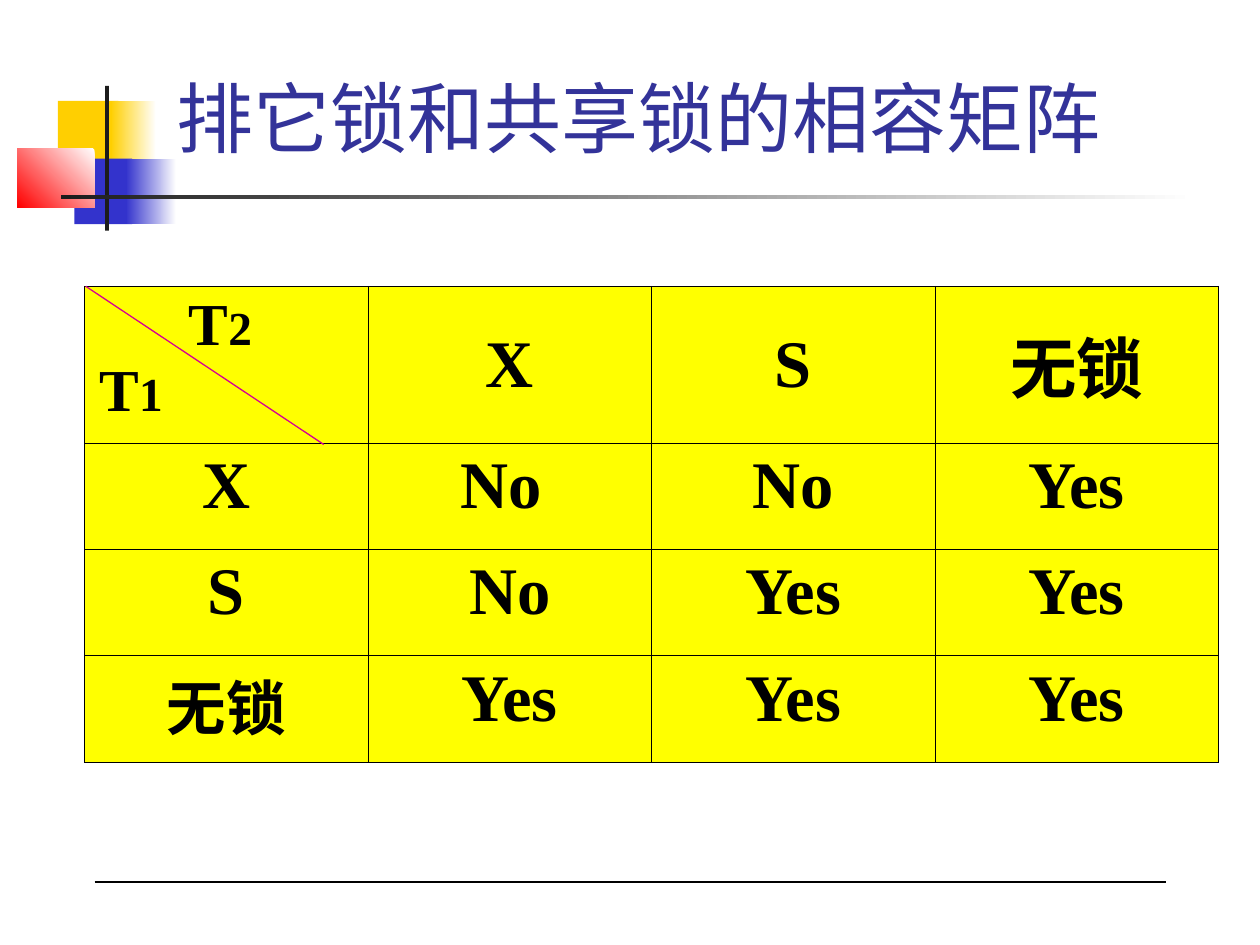
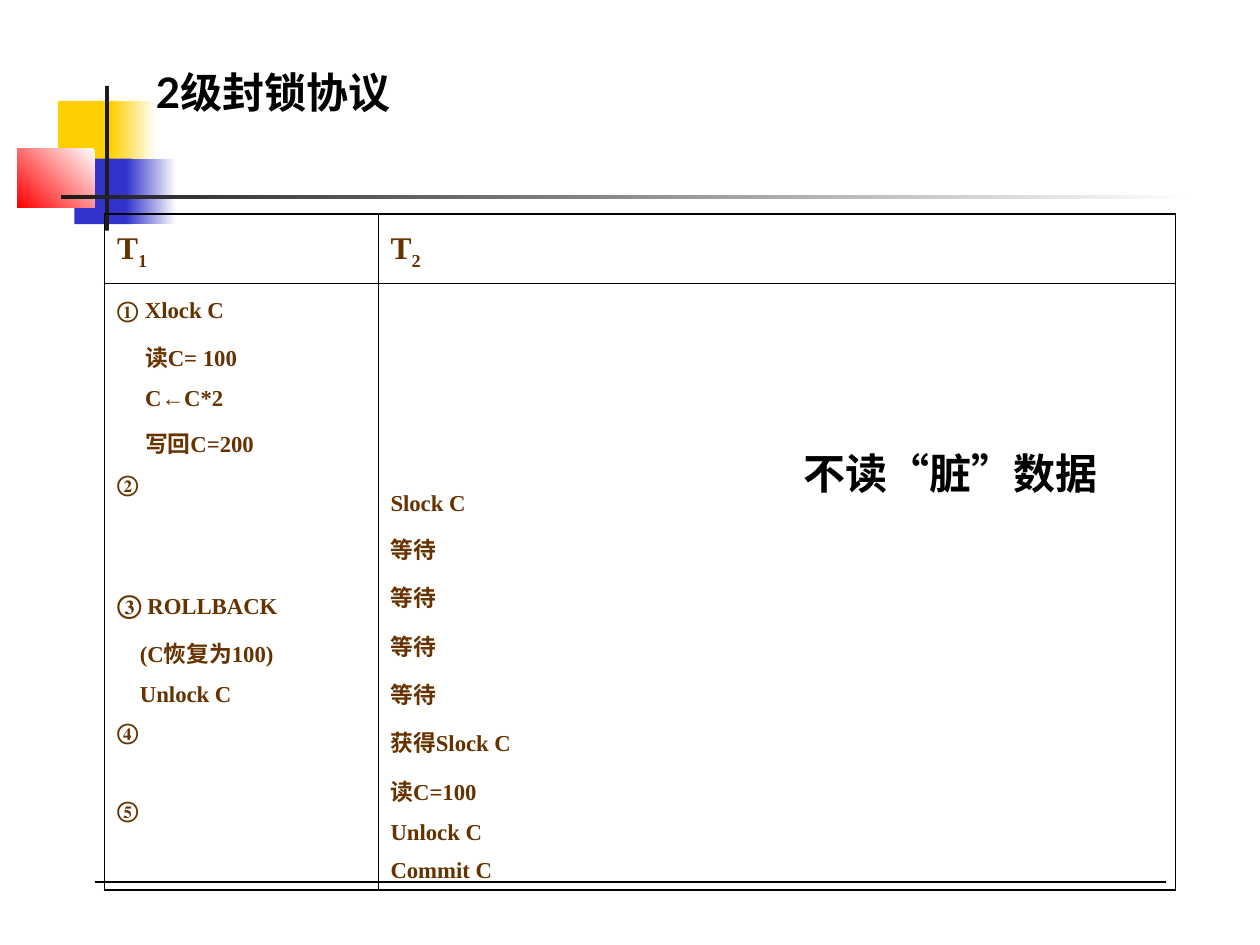
"""Build two slides on lock compatibility and the level-2 locking protocol."""
from dataclasses import dataclass
from typing import Optional

import pptx
import pptx.dml.color
import pptx.enum.shapes
import pptx.enum.text
import pptx.oxml
import pptx.oxml.ns
import pptx.util

Pt = pptx.util.Pt
RGB = pptx.dml.color.RGBColor.from_string
ALIGN = pptx.enum.text.PP_ALIGN
ANCHOR = pptx.enum.text.MSO_ANCHOR


@dataclass(frozen=True)
class Theme:
    black: str = "000000"
    white: str = "FFFFFF"
    ink: str = "1C1C1C"
    gold: str = "FFCF01"
    blue: str = "3333CC"
    red: str = "FF0000"
    title: str = "333399"
    cell: str = "FFFF00"
    diagonal: str = "D60093"
    brown: str = "663300"
    serif: str = "Times New Roman"
    cjk: str = "Noto Sans CJK SC"
    sans: str = "Lato"
    title_size: float = 44
    heading_size: float = 24
    matrix_size: float = 38
    corner_size: float = 34
    corner_digit: float = 27
    column_size: float = 18
    step_size: float = 13
    mark_size: float = 15
    thin: float = 0.45
    thick: float = 1.08
    rule: float = 0.75


T = Theme()


@dataclass(frozen=True)
class Box:
    x: float
    y: float
    w: float
    h: float

    def lengths(self) -> tuple:
        return Pt(self.x), Pt(self.y), Pt(self.w), Pt(self.h)


@dataclass(frozen=True)
class Block:
    box: Box
    color: str
    angle: Optional[float] = None


@dataclass(frozen=True)
class Style:
    size: float
    color: str = T.black
    font: str = T.serif
    bold: bool = True


@dataclass(frozen=True)
class Span:
    text: str
    size: Optional[float] = None
    subscript: bool = False


@dataclass(frozen=True)
class Line:
    spans: tuple
    indent: float = 0
    before: float = 0
    spacing: float = 1.0
    align: ALIGN = ALIGN.LEFT


BLOCKS = (
    Block(Box(33.12, 57.6, 34.56, 37.44), T.gold),
    Block(Box(63.36, 57.6, 25.92, 37.44), T.gold, 180),
    Block(Box(42.48, 90.72, 33.12, 37.44), T.blue),
    Block(Box(72, 90.72, 28.8, 37.44), T.blue, 180),
    Block(Box(10, 85, 44, 33.5), T.red, 225),
    Block(Box(60, 49, 2.3, 82.8), T.ink),
    Block(Box(34.7, 111.6, 648, 2.3), T.ink, 180),
)

STEP_GAP = 3.3
STEP_SPACING = 1.3
EMPTY_STEP = 22.7


def write(tf, lines: tuple, style: Style) -> None:
    """Fill a text frame with formatted lines."""
    for i, line in enumerate(lines):
        p = tf.paragraphs[0] if i == 0 else tf.add_paragraph()
        p.alignment = line.align
        p.line_spacing = line.spacing
        p.space_before = Pt(line.before)
        pPr = p._p.get_or_add_pPr()
        pPr.set("marL", str(Pt(line.indent)))
        pPr.set("indent", "0")
        for span in line.spans:
            r = p.add_run()
            r.text = span.text
            r.font.size = Pt(span.size or style.size)
            r.font.name = style.font
            r.font.bold = style.bold
            r.font.color.rgb = RGB(style.color)
            rPr = r._r.get_or_add_rPr()
            ea = pptx.oxml.parse_xml(
                f'<a:ea {pptx.oxml.ns.nsdecls("a")} typeface="{T.cjk}"/>')
            rPr.find(pptx.oxml.ns.qn("a:latin")).addnext(ea)
            if span.subscript:
                rPr.set("baseline", "-25000")


def add_text(s, box: Box, text: str, style: Style, anchor: ANCHOR,
             align: ALIGN = ALIGN.LEFT, wrap: bool = True) -> None:
    """Add a one-line text box."""
    tf = s.shapes.add_textbox(*box.lengths()).text_frame
    tf.word_wrap = wrap
    tf.vertical_anchor = anchor
    write(tf, (Line((Span(text),), align=align),), style)


def add_line(s, x1: float, y1: float, x2: float, y2: float, color: str) -> None:
    """Add a straight line without shadow."""
    sp = s.shapes.add_connector(pptx.enum.shapes.MSO_CONNECTOR.STRAIGHT,
                                Pt(x1), Pt(y1), Pt(x2), Pt(y2))
    sp.line.color.rgb = RGB(color)
    sp.line.width = Pt(T.rule)
    sp._element.spPr.append(pptx.oxml.parse_xml(
        f'<a:effectLst {pptx.oxml.ns.nsdecls("a")}/>'))


def add_block(s, block: Block) -> None:
    """Add a solid block or one fading from white."""
    sp = s.shapes.add_shape(pptx.enum.shapes.MSO_SHAPE.RECTANGLE,
                            *block.box.lengths())
    sp.shadow.inherit = False
    sp.line.fill.background()
    if block.angle is None:
        sp.fill.solid()
        sp.fill.fore_color.rgb = RGB(block.color)
        return
    sp.fill.gradient()
    sp.fill.gradient_angle = block.angle
    for stop, color in zip(sp.fill.gradient_stops, (T.white, block.color)):
        stop.color.rgb = RGB(color)


def add_base(prs):
    """Add a slide with the shared decoration."""
    s = prs.slides.add_slide(prs.slide_layouts[6])
    s.background.fill.solid()
    s.background.fill.fore_color.rgb = RGB(T.white)
    for block in BLOCKS:
        add_block(s, block)
    add_line(s, 54, 504, 666, 504, T.black)
    return s


def add_grid(s, box: Box, widths: list, heights: list, outer: float):
    """Add a plain table with thin inner and given outer borders."""
    table = s.shapes.add_table(len(heights), len(widths), *box.lengths()).table
    table.first_row = table.horz_banding = False
    for column, width in zip(table.columns, widths):
        column.width = Pt(width)
    for row, height in zip(table.rows, heights):
        row.height = Pt(height)
    last_row, last_col = len(heights) - 1, len(widths) - 1
    for i in range(len(heights)):
        for j in range(len(widths)):
            cell = table.cell(i, j)
            edges = {"L": j == 0, "R": j == last_col,
                     "T": i == 0, "B": i == last_row}
            for side, is_outer in edges.items():
                width = Pt(outer if is_outer else T.thin)
                cell._tc.get_or_add_tcPr().append(pptx.oxml.parse_xml(
                    f'<a:ln{side} {pptx.oxml.ns.nsdecls("a")} w="{width}">'
                    f'<a:solidFill><a:srgbClr val="{T.black}"/></a:solidFill>'
                    f'</a:ln{side}>'))
            cell.fill.background()
    return table


def set_margins(cell, side: float, top: float, bottom: float) -> None:
    """Set the margins of a table cell."""
    cell.margin_left = cell.margin_right = Pt(side)
    cell.margin_top, cell.margin_bottom = Pt(top), Pt(bottom)


def build_matrix(prs) -> None:
    """Build the lock compatibility matrix slide."""
    s = add_base(prs)
    add_text(s, Box(93.6, -16.6, 613.4, 113), "排它锁和共享锁的相容矩阵",
             Style(T.title_size, T.title, T.cjk, False), ANCHOR.BOTTOM)
    rows = (
        ("", "X", "S", "无锁"),
        ("X", "No ", "No", "Yes"),
        ("S", "No", "Yes", "Yes"),
        ("无锁", "Yes", "Yes", "Yes"),
    )
    box = Box(48.24, 163.6, 648, 272)
    table = add_grid(s, box, [162] * 4, [89.6] + [60.8] * 3, T.thin)
    corner = tuple(
        Line((Span("T", T.corner_size), Span(digit, T.corner_digit)), indent)
        for digit, indent in (("2", 51), ("1", 0)))
    for i, row in enumerate(rows):
        for j, text in enumerate(row):
            cell = table.cell(i, j)
            set_margins(cell, 8.64, 3.6, 3.6)
            cell.fill.solid()
            cell.fill.fore_color.rgb = RGB(T.cell)
            is_corner = i == j == 0
            if i == 0 and not is_corner:
                cell.vertical_anchor = ANCHOR.MIDDLE
            size = T.corner_size if i == 3 and j == 0 else T.matrix_size
            lines = corner if is_corner else (
                Line((Span(text),), align=ALIGN.CENTER),)
            write(cell.text_frame, lines, Style(size))
    add_line(s, 49, box.y, 185, 254, T.diagonal)


def step(text: str, indent: float = 0, skipped: int = 0) -> Line:
    """Describe a protocol step after a number of idle steps."""
    return Line((Span(text),), indent, STEP_GAP + skipped * EMPTY_STEP,
                STEP_SPACING)


def build_protocol(prs) -> None:
    """Build the level-2 locking protocol slide."""
    s = add_base(prs)
    add_text(s, Box(82, -19.4, 612, 90), "2级封锁协议",
             Style(T.heading_size, font=T.sans), ANCHOR.BOTTOM)
    table = add_grid(s, Box(59.76, 122.4, 612, 386), [156.2, 455.8],
                     [39.6, 346.4], T.thick)
    for j in range(2):
        cell = table.cell(0, j)
        set_margins(cell, 7.2, 10, 3.6)
        write(cell.text_frame,
              (Line((Span("T"), Span(str(j + 1), subscript=True))),),
              Style(T.column_size, T.brown))
    first = (
        Line((Span("①"), Span(" ", T.mark_size), Span("Xlock C"))),
        step("读C= 100", 16),
        step("C←C*2", 16),
        step("写回C=200", 16),
        step("②"),
        Line((Span("③", T.mark_size), Span(" ROLLBACK")), 0,
             STEP_GAP + 2 * EMPTY_STEP, STEP_SPACING),
        step("(C恢复为100)", 13),
        step("Unlock C", 13),
        step("④"),
        step("⑤", skipped=1),
    )
    second = (
        Line((Span("Slock C"),)),
        *(step("等待") for _ in range(4)),
        *map(step, ("获得Slock C", "读C=100", "Unlock C", "Commit C")),
    )
    for j, (lines, top) in enumerate(((first, 6.9), (second, 119))):
        cell = table.cell(1, j)
        set_margins(cell, 7.2, top, 2)
        write(cell.text_frame, lines, Style(T.step_size, T.brown))
    add_text(s, Box(444.2, 246.2, 203.8, 48.2), "不读“脏”数据 ",
             Style(T.heading_size), ANCHOR.MIDDLE, ALIGN.CENTER, False)


def main() -> None:
    """Build and save the presentation."""
    prs = pptx.Presentation()
    prs.slide_width, prs.slide_height = Pt(720), Pt(540)
    build_matrix(prs)
    build_protocol(prs)
    prs.save("out.pptx")


if __name__ == "__main__":
    main()
